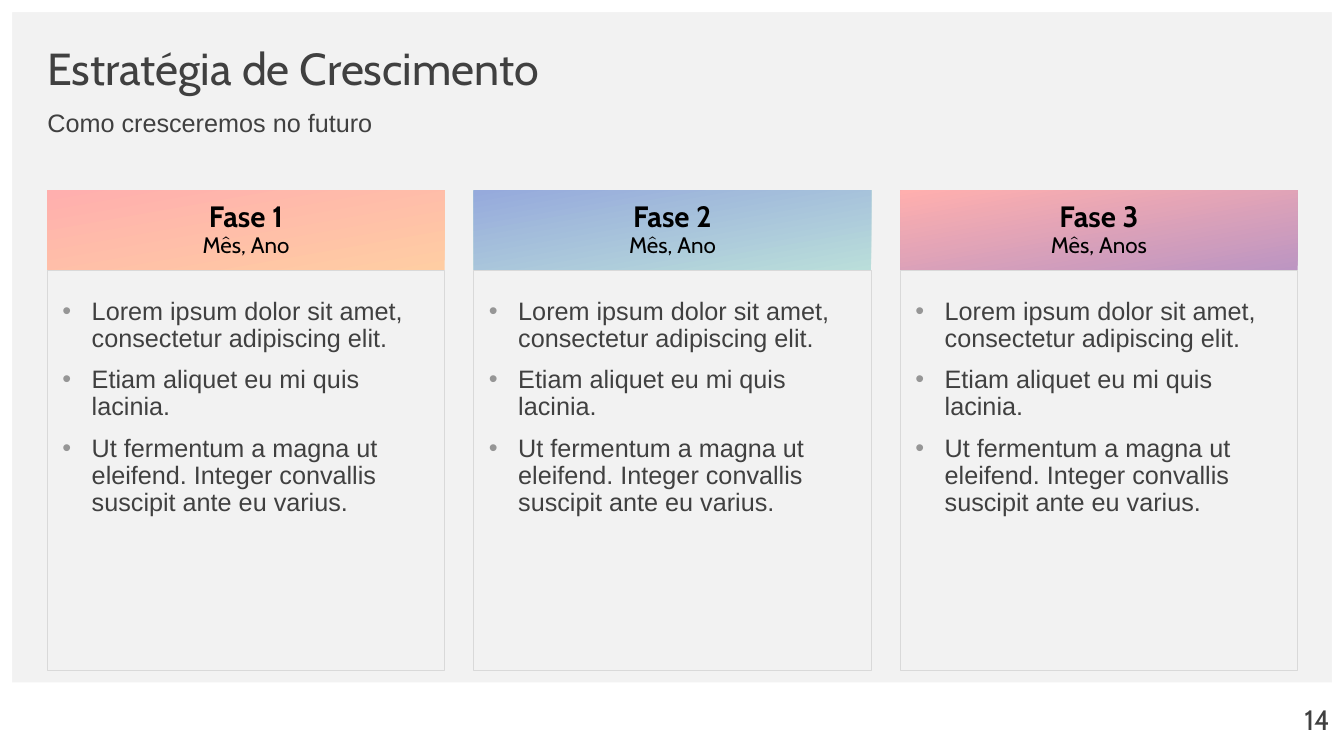
"""Build the growth strategy slide with three phase columns."""
from lxml import etree
from pptx import Presentation
from pptx.dml.color import RGBColor
from pptx.enum.shapes import MSO_SHAPE
from pptx.enum.text import MSO_ANCHOR, PP_ALIGN
from pptx.oxml.ns import qn
from pptx.util import Inches, Pt

RECTANGLE, FRAME = MSO_SHAPE.RECTANGLE, MSO_SHAPE.FRAME
TOP, MIDDLE = MSO_ANCHOR.TOP, MSO_ANCHOR.MIDDLE
LEFT, CENTER, RIGHT = PP_ALIGN.LEFT, PP_ALIGN.CENTER, PP_ALIGN.RIGHT

TITLE = "Estratégia de Crescimento"
SUBTITLE = "Como cresceremos no futuro"
PAGE_NUMBER = "14"
POINTS = [
    "Lorem ipsum dolor sit amet, consectetur adipiscing elit.",
    "Etiam aliquet eu mi quis lacinia.",
    "Ut fermentum a magna ut eleifend. Integer convallis suscipit ante eu varius.",
]
PHASES = [
    {"name": "Fase 1", "date": "Mês, Ano", "gradient": ("FFCDA3", "FFAFAE"), "points": POINTS},
    {"name": "Fase 2", "date": "Mês, Ano", "gradient": ("BADEDA", "96AADC"), "points": POINTS},
    {"name": "Fase 3", "date": "Mês, Anos", "gradient": ("BC95C2", "FFAFAE"), "points": POINTS},
]

THEME = {
    "heading": "Cabin", "body": "Arial",
    "background": "F2F2F2", "white": "FFFFFF", "text": "404040", "black": "000000",
    "border": "D9D9D9", "bullet": "969696",
    "title_size": 32, "body_size": 18, "phase_size": 21, "date_size": 16, "page_size": 20,
}

SLIDE_WIDTH, SLIDE_HEIGHT = 13.33, 7.5
FRAME_WIDTH, FOOTER_TOP = 0.12, 6.77
MARGIN, CONTENT_WIDTH = 0.47, 12.4
COLUMN_WIDTH, COLUMN_GAP = 3.94, 0.29
HEADER_TOP, HEADER_HEIGHT, BODY_HEIGHT = 1.89, 0.79, 3.97
BULLET_INDENT, GRADIENT_ANGLE = 0.29, 100


def add_box(slide, kind, box, fill, line=None):
    shape = slide.shapes.add_shape(kind, *map(Inches, box))
    shape.shadow.inherit = False
    if isinstance(fill, tuple):
        shape.fill.gradient()
        shape.fill.gradient_angle = GRADIENT_ANGLE
        for stop, color, position in zip(shape.fill.gradient_stops, fill, (0, 1)):
            stop.color.rgb = RGBColor.from_string(color)
            stop.position = position
    else:
        shape.fill.solid()
        shape.fill.fore_color.rgb = RGBColor.from_string(fill)
    if line:
        shape.line.color.rgb = RGBColor.from_string(line)
        shape.line.width = Pt(0.75)
    else:
        shape.line.fill.background()
    return shape


def add_bullet(paragraph):
    properties = paragraph._p.get_or_add_pPr()
    properties.set("marL", str(Inches(BULLET_INDENT)))
    properties.set("indent", str(-Inches(BULLET_INDENT)))
    color = etree.SubElement(properties, qn("a:buClr"))
    etree.SubElement(color, qn("a:srgbClr"), val=THEME["bullet"])
    etree.SubElement(properties, qn("a:buFont"), typeface="Arial")
    etree.SubElement(properties, qn("a:buChar"), char="•")


def write_text(shape, paragraphs, size, font=THEME["body"], color=THEME["text"], align=LEFT,
               anchor=TOP, insets=(0, 0, 0, 0), spacing=0.9, bullets=False):
    """Write paragraphs, each a list of (text, size, bold) lines or a plain string."""
    frame = shape.text_frame
    frame.word_wrap = True
    frame.vertical_anchor = anchor
    frame.margin_left, frame.margin_top, frame.margin_right, frame.margin_bottom = map(Inches, insets)
    for index, content in enumerate(paragraphs):
        paragraph = frame.add_paragraph() if index else frame.paragraphs[0]
        paragraph.alignment = align
        paragraph.line_spacing = spacing
        paragraph.space_before = Pt(10 if index else 0)
        if bullets:
            add_bullet(paragraph)
        lines = [(content, size, False)] if isinstance(content, str) else content
        for number, (text, line_size, bold) in enumerate(lines):
            if number:
                paragraph.add_line_break()
            run = paragraph.add_run()
            run.text = text
            run.font.name = font
            run.font.size = Pt(line_size)
            run.font.bold = bold
            run.font.color.rgb = RGBColor.from_string(color)


def add_text(slide, box, text, size, **text_format):
    shape = slide.shapes.add_textbox(*map(Inches, box))
    write_text(shape, [text], size, **text_format)


def add_phase(slide, left, phase):
    header = add_box(slide, RECTANGLE, (left, HEADER_TOP, COLUMN_WIDTH, HEADER_HEIGHT), phase["gradient"])
    lines = [(phase["name"], THEME["phase_size"], True), (phase["date"], THEME["date_size"], False)]
    write_text(header, [lines], THEME["phase_size"], font=THEME["heading"], color=THEME["black"],
               align=CENTER, anchor=MIDDLE, insets=(0.12, 0.04, 0.12, 0.04))
    body = add_box(slide, RECTANGLE, (left, HEADER_TOP + HEADER_HEIGHT, COLUMN_WIDTH, BODY_HEIGHT),
                   THEME["background"], THEME["border"])
    write_text(body, phase["points"], THEME["body_size"], insets=(0.15, 0.28, 0.15, 0), bullets=True)


def main():
    presentation = Presentation()
    presentation.slide_width = Inches(SLIDE_WIDTH)
    presentation.slide_height = Inches(SLIDE_HEIGHT)
    slide = presentation.slides.add_slide(presentation.slide_layouts[6])
    slide.background.fill.solid()
    slide.background.fill.fore_color.rgb = RGBColor.from_string(THEME["background"])

    add_box(slide, RECTANGLE, (0, FOOTER_TOP, SLIDE_WIDTH, SLIDE_HEIGHT - FOOTER_TOP), THEME["white"])
    border = add_box(slide, FRAME, (0, 0, SLIDE_WIDTH, SLIDE_HEIGHT), THEME["white"])
    border.adjustments[0] = FRAME_WIDTH / SLIDE_HEIGHT

    add_text(slide, (MARGIN, 0.47, CONTENT_WIDTH, 0.47), TITLE, THEME["title_size"],
             font=THEME["heading"], anchor=MIDDLE)
    add_text(slide, (MARGIN, 1.1, CONTENT_WIDTH, 0.39), SUBTITLE, THEME["body_size"])
    for index, phase in enumerate(PHASES):
        add_phase(slide, MARGIN + index * (COLUMN_WIDTH + COLUMN_GAP), phase)
    add_text(slide, (12.78, 6.83, 0.41, 0.61), PAGE_NUMBER, THEME["page_size"],
             font=THEME["heading"], align=RIGHT, anchor=MIDDLE, spacing=1.0)
    presentation.save("out.pptx")


if __name__ == "__main__":
    main()
